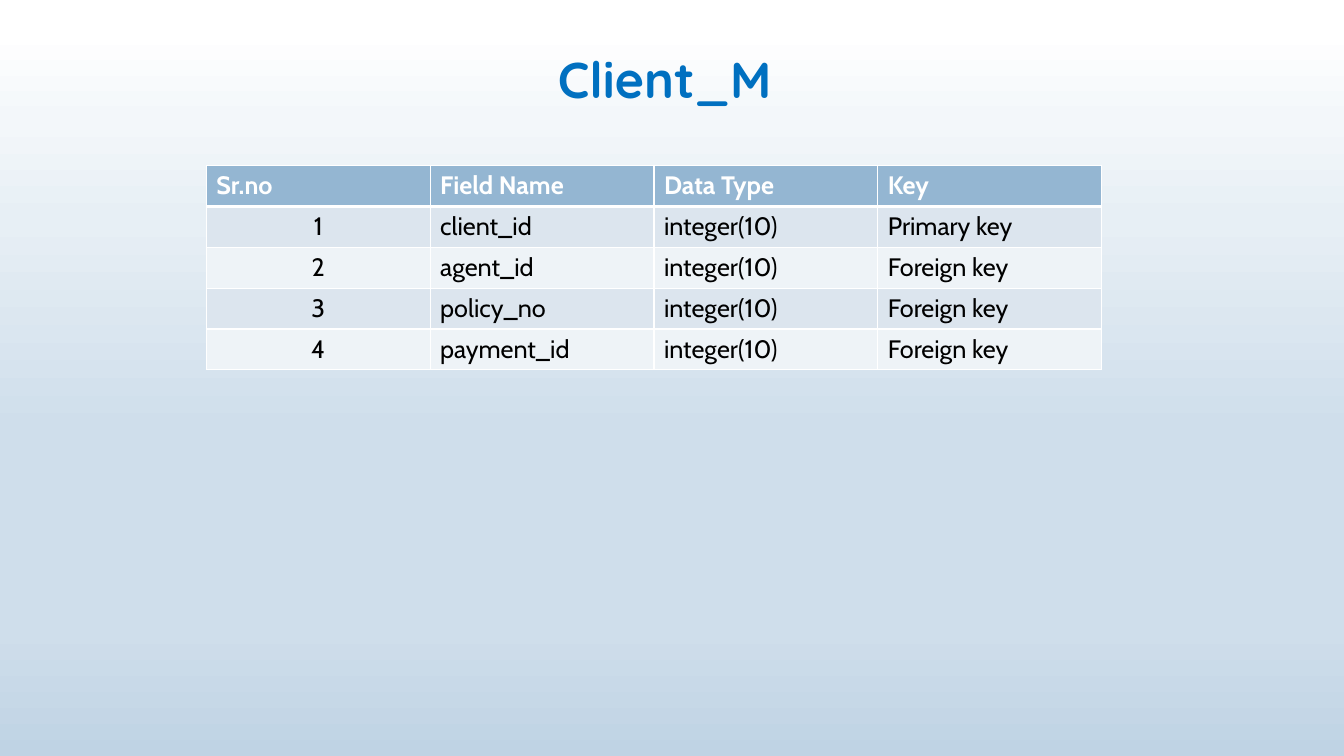
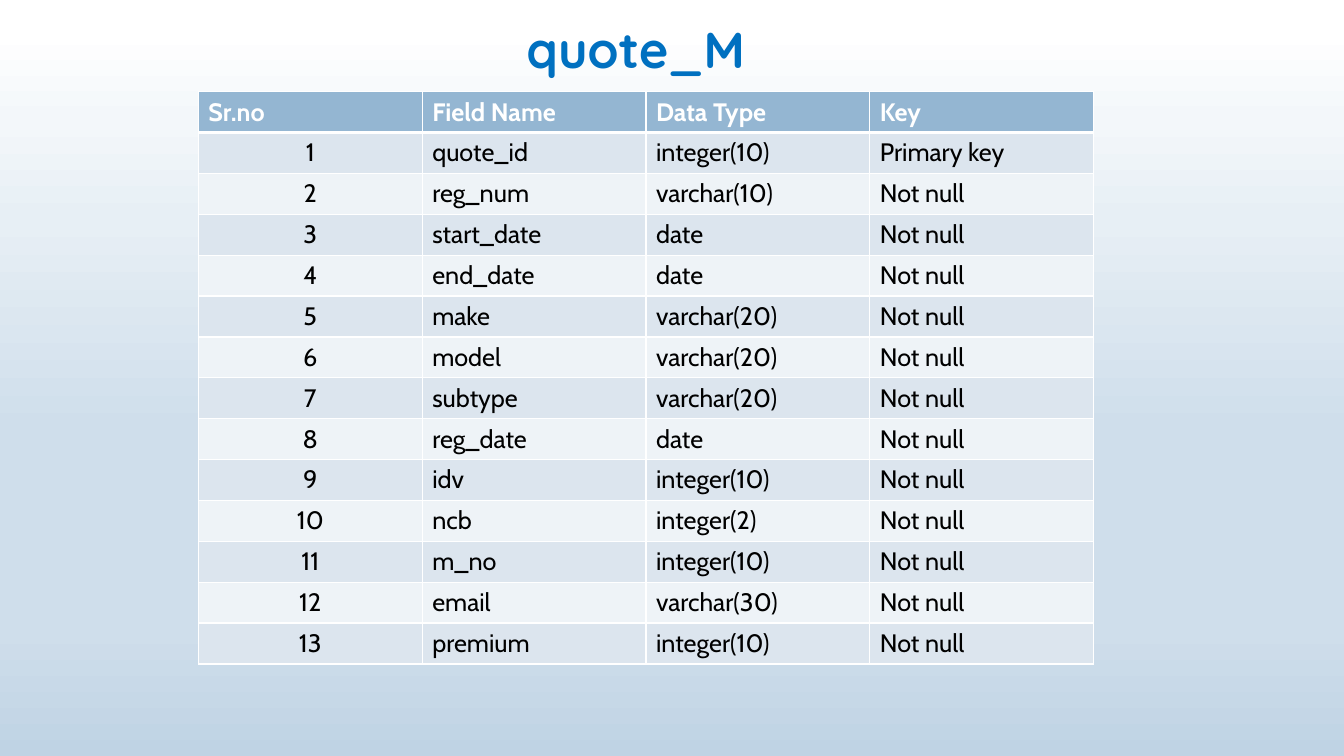
from lxml import etree
from pptx import Presentation
from pptx.dml.color import RGBColor
from pptx.enum.text import MSO_AUTO_SIZE, PP_ALIGN
from pptx.oxml.ns import qn
from pptx.util import Cm, Pt

LEFT, CENTER = PP_ALIGN.LEFT, PP_ALIGN.CENTER
GROW = MSO_AUTO_SIZE.SHAPE_TO_FIT_TEXT

WHITE = RGBColor(0xFF, 0xFF, 0xFF)
BLACK = RGBColor(0x00, 0x00, 0x00)
TITLE_BLUE = RGBColor(0x00, 0x70, 0xC0)
HEADER_BLUE = RGBColor(0x94, 0xB6, 0xD2)
ODD_ROW = RGBColor(0xDC, 0xE5, 0xEE)
EVEN_ROW = RGBColor(0xEE, 0xF3, 0xF7)
BACKGROUND = [
    (4, WHITE),
    (16, RGBColor(0xF3, 0xF7, 0xFA)),
    (29, RGBColor(0xE7, 0xEF, 0xF5)),
    (57, RGBColor(0xCF, 0xDE, 0xEB)),
    (83, RGBColor(0xCF, 0xDE, 0xEB)),
    (100, RGBColor(0xBF, 0xD3, 0xE4)),
]

HEADERS = ("Sr.no", "Field Name", "Data Type", "Key")
CLIENT_FIELDS = [
    ("client_id", "integer(10)", "Primary key"),
    ("agent_id", "integer(10)", "Foreign key"),
    ("policy_no", "integer(10)", "Foreign key"),
    ("payment_id", "integer(10)", "Foreign key"),
]
QUOTE_FIELDS = [
    ("quote_id", "integer(10)", "Primary key"),
    ("reg_num", "varchar(10)", "Not null"),
    ("start_date", "date", "Not null"),
    ("end_date", "date", "Not null"),
    ("make", "varchar(20)", "Not null"),
    ("model", "varchar(20)", "Not null"),
    ("subtype", "varchar(20)", "Not null"),
    ("reg_date", "date", "Not null"),
    ("idv", "integer(10)", "Not null"),
    ("ncb", "integer(2)", "Not null"),
    ("m_no", "integer(10)", "Not null"),
    ("email", "varchar(30)", "Not null"),
    ("premium", "integer(10)", "Not null"),
]


def write(tf, text, *, font, size, color, bold=False, align=LEFT):
    p = tf.paragraphs[0]
    p.alignment = align
    r = p.add_run()
    r.text = text
    r.font.name = font
    r.font.size = Pt(size)
    r.font.bold = bold
    r.font.color.rgb = color


def add_solid(parent, tag, color, **attributes):
    """Append a DrawingML element that holds one RGB colour."""
    el = etree.SubElement(parent, qn(tag), attributes)
    holder = el if tag == "a:gs" else etree.SubElement(el, qn("a:solidFill"))
    etree.SubElement(holder, qn("a:srgbClr"), val=str(color))


def set_borders(cell, top, bottom):
    """Draw white borders; must run before the cell gets its fill."""
    tcPr = cell._tc.get_or_add_tcPr()
    for side, width in (("L", 1), ("R", 1), ("T", top), ("B", bottom)):
        add_solid(tcPr, f"a:ln{side}", WHITE, w=str(Pt(width)))


class Deck:
    """Presentation style together with the slide being built."""

    TITLE = dict(font="Quicksand", size=36, color=TITLE_BLUE, bold=True, align=CENTER)
    HEADER = dict(font="Cabin", size=18, color=WHITE, bold=True)
    BODY = dict(font="Cabin", size=18, color=BLACK)
    TITLE_H, COL_W, ROW_H = Cm(1.8), Cm(5.64), Cm(1.03)

    def __init__(self):
        self.prs = Presentation()
        self.prs.slide_width, self.prs.slide_height = Cm(33.87), Cm(19.05)
        self.set_background()

    def set_background(self):
        master = self.prs.slide_master
        fill = master.background.fill
        fill.gradient()
        fill.gradient_angle = 270
        stops = master.element.find(".//" + qn("a:gsLst"))
        for stop in list(stops):
            stops.remove(stop)
        for percent, color in BACKGROUND:
            add_solid(stops, "a:gs", color, pos=str(percent * 1000))

    def new_slide(self):
        self.s = self.prs.slides.add_slide(self.prs.slide_layouts[6])

    def title(self, text, left, top, width):
        tf = self.s.shapes.add_textbox(left, top, width, self.TITLE_H).text_frame
        tf.word_wrap = True
        tf.auto_size = GROW
        write(tf, text, **self.TITLE)

    def field_table(self, fields, left, top):
        rows = [HEADERS] + [(str(n), *field) for n, field in enumerate(fields, 1)]
        table = self.s.shapes.add_table(
            len(rows), len(HEADERS), left, top,
            self.COL_W * len(HEADERS), self.ROW_H * len(rows)).table
        for col in table.columns:
            col.width = self.COL_W
        for i, values in enumerate(rows):
            table.rows[i].height = self.ROW_H
            color = HEADER_BLUE if i == 0 else ODD_ROW if i % 2 else EVEN_ROW
            style = self.BODY if i else self.HEADER
            for j, text in enumerate(values):
                cell = table.cell(i, j)
                set_borders(cell, top=3 if i == 1 else 1, bottom=3 if i == 0 else 1)
                cell.fill.solid()
                cell.fill.fore_color.rgb = color
                align = CENTER if i and j == 0 else LEFT
                write(cell.text_frame, text, align=align, **style)


def main():
    deck = Deck()

    deck.new_slide()
    deck.title("Client_M", Cm(2), Cm(1.09), Cm(29.5))
    deck.field_table(CLIENT_FIELDS, Cm(5.2), Cm(4.17))

    deck.new_slide()
    deck.title("quote_M", Cm(4.14), Cm(0.33), Cm(23.77))
    deck.field_table(QUOTE_FIELDS, Cm(5), Cm(2.31))

    deck.prs.save("out.pptx")


if __name__ == "__main__":
    main()
